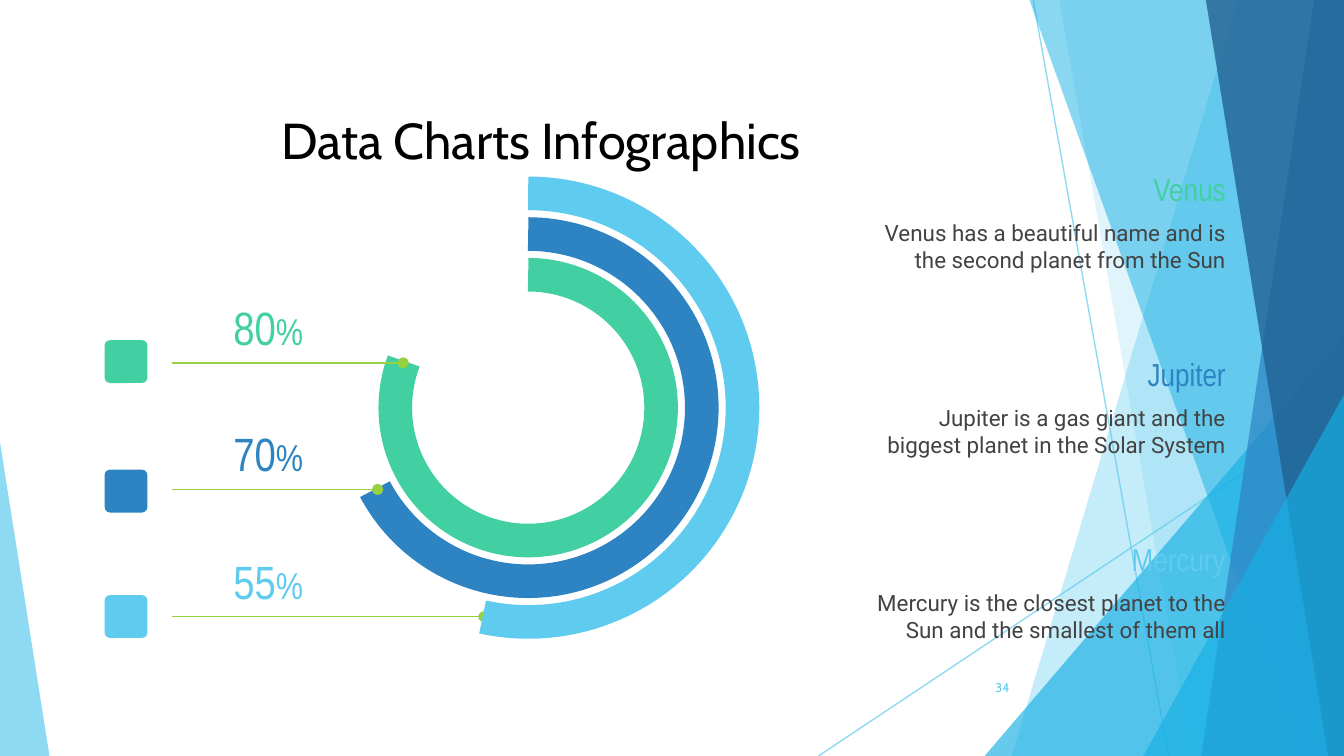
from pptx import Presentation
from pptx.dml.color import RGBColor
from pptx.enum.shapes import MSO_CONNECTOR as CONN, MSO_SHAPE as SHAPE
from pptx.enum.text import MSO_ANCHOR as ANCHOR, MSO_AUTO_SIZE as AUTO, PP_ALIGN as ALIGN
from pptx.oxml.ns import qn
from pptx.util import Pt
from lxml.etree import SubElement

W, H = 720, 405
SKY, BLUE, GREEN = "5FCBEF", "2E83C3", "42D0A2"
CYAN, NAVY, LIME, GRAY = "17B0E4", "226292", "96D141", "434343"
NARROW = "Arial Narrow"


def paint(fill, color, alpha=100):
    """Solid colour with an opacity in percent."""
    fill.solid()
    fill.fore_color.rgb = RGBColor.from_string(color)
    if alpha < 100:
        clr = fill._xPr.find(qn("a:solidFill"))[0]
        SubElement(clr, qn("a:alpha"), val=str(alpha * 1000))


def finish(sp, color, alpha=100):
    """Plain filled shape: no outline, no shadow."""
    sp.shadow.inherit = False
    sp.line.fill.background()
    paint(sp.fill, color, alpha)


def add_preset(s, kind, box, color, alpha=100, adj=()):
    sp = s.shapes.add_shape(kind, *map(Pt, box))
    for i, value in enumerate(adj):
        sp.adjustments[i] = value
    finish(sp, color, alpha)
    return sp


def add_band(s, top_x, bottom_x, color, alpha):
    """Full-height band from a slanted edge to the right side of the slide."""
    fb = s.shapes.build_freeform(Pt(top_x), Pt(0))
    fb.add_line_segments([(Pt(x), Pt(y)) for x, y in
                          ((W, 0), (W, H), (bottom_x, H))])
    finish(fb.convert_to_shape(), color, alpha)


def add_line(s, x1, y1, x2, y2, color, alpha=100, tail=None):
    c = s.shapes.add_connector(CONN.STRAIGHT, Pt(x1), Pt(y1), Pt(x2), Pt(y2))
    c.line.width = Pt(0.75)
    paint(c.line.fill, color, alpha)
    if tail:
        SubElement(c.line._get_or_add_ln(), qn("a:tailEnd"), type=tail)
    SubElement(c._element.spPr, qn("a:effectLst"))


def add_arc(s, cx, cy, diameter, end_angle, color):
    """Thick arc from twelve o'clock clockwise to end_angle (degrees)."""
    r = diameter / 2
    sp = s.shapes.add_shape(SHAPE.ARC, *map(Pt, (cx - r, cy - r, diameter, diameter)))
    # Angles are stored in 1/60000 degree, adjustments in units of 100000
    sp.adjustments[0], sp.adjustments[1] = 270 * 0.6, end_angle * 0.6
    sp.shadow.inherit = False
    sp.fill.background()
    sp.line.width = Pt(18)
    paint(sp.line.fill, color)


def set_text(sp, *runs, font, color, align, anchor=ANCHOR.MIDDLE):
    """Fill a text frame with one paragraph of (text, size) runs."""
    tf = sp.text_frame
    tf.word_wrap, tf.auto_size, tf.vertical_anchor = True, AUTO.NONE, anchor
    tf.margin_left = tf.margin_right = tf.margin_top = tf.margin_bottom = Pt(7.2)
    p = tf.paragraphs[0]
    p.alignment = align
    for text, size in runs:
        r = p.add_run()
        r.text = text
        r.font.size, r.font.name = Pt(size), font
        r.font.color.rgb = RGBColor.from_string(color)


def add_text(s, box, *runs, **fmt):
    set_text(s.shapes.add_textbox(*map(Pt, box)), *runs, **fmt)


def add_backdrop(s):
    add_line(s, 553.5, 0, 626, H, SKY, 70)
    add_line(s, W, 217.5, 438.5, H, SKY, 70)
    add_band(s, 663, 542, SKY, 36)
    add_band(s, 567.5, 638.5, SKY, 20)
    add_preset(s, SHAPE.ISOSCELES_TRIANGLE, (527.5, 180, 192.5, 225), CYAN, 66, [1])
    add_band(s, 551.5, 697, CYAN, 50)
    add_band(s, 704, 643.5, BLUE, 70)
    add_band(s, 646, 711.5, NAVY, 80)
    add_preset(s, SHAPE.ISOSCELES_TRIANGLE, (612.5, 211.5, 107.5, 193.5), CYAN, 66, [1])
    add_preset(s, SHAPE.ISOSCELES_TRIANGLE, (0, 237, 26.5, 168), SKY, 70, [0])


def add_gauge(s, value, color, y, line_end, diameter, end_angle, icon_y, line_behind):
    """Ring with its leader line, percentage and icon tile."""
    leader = (92.4, y, line_end, y, LIME)
    if line_behind:
        add_line(s, *leader, tail="oval")
    add_arc(s, 283, 218.4, diameter, end_angle, color)
    if not line_behind:
        add_line(s, *leader, tail="oval")
    add_text(s, (92.2, y - 32.4, 103, 26), (value, 25), ("%", 20),
             font=NARROW, color=color, align=ALIGN.CENTER)
    add_preset(s, SHAPE.ROUNDED_RECTANGLE, (56, icon_y, 23, 23), color, adj=[0.13])


def add_planet(s, y, name, color, description):
    add_text(s, (453.6, y + 19, 210.2, 44.6), (description, 12),
             font="Roboto", color=GRAY, align=ALIGN.RIGHT)
    add_text(s, (453.6, y, 210.2, 21.6), (name, 17),
             font=NARROW, color=color, align=ALIGN.RIGHT)


def main():
    prs = Presentation()
    prs.slide_width, prs.slide_height = Pt(W), Pt(H)
    s = prs.slides.add_slide(prs.slide_layouts[5])
    add_backdrop(s)

    # Rings, outermost first
    add_gauge(s, "55", SKY, 330.4, 259.2, 229.6, 102.28, 318.8, True)
    add_gauge(s, "70", BLUE, 262.2, 202.3, 186, 151.98, 251.6, False)
    add_gauge(s, "80", GREEN, 194.4, 216, 142.4, 200.56, 182.2, False)

    # Title, moved above the rings in the stacking order
    title = s.shapes.title
    title.left, title.top, title.width, title.height = map(Pt, (36, 36, 507.6, 77.8))
    set_text(title, ("Data Charts Infographics", 27),
             font="Cabin", color="000000", align=ALIGN.CENTER)
    s.shapes._spTree.append(title._element)

    # Slide number
    add_text(s, (507.6, 357.1, 40.3, 21.6), ("34", 6.8),
             font="Cabin", color=SKY, align=ALIGN.RIGHT, anchor=ANCHOR.TOP)

    # Planet notes
    planets = [
        ("Venus", GREEN, "Venus has a beautiful name and is the second planet from the Sun"),
        ("Jupiter", BLUE, "Jupiter is a gas giant and the biggest planet in the Solar System"),
        ("Mercury", SKY, "Mercury is the closest planet to the Sun and the smallest of them all"),
    ]
    for i, planet in enumerate(planets):
        add_planet(s, 90.4 + 99.1 * i, *planet)

    prs.save("out.pptx")


if __name__ == "__main__":
    main()
